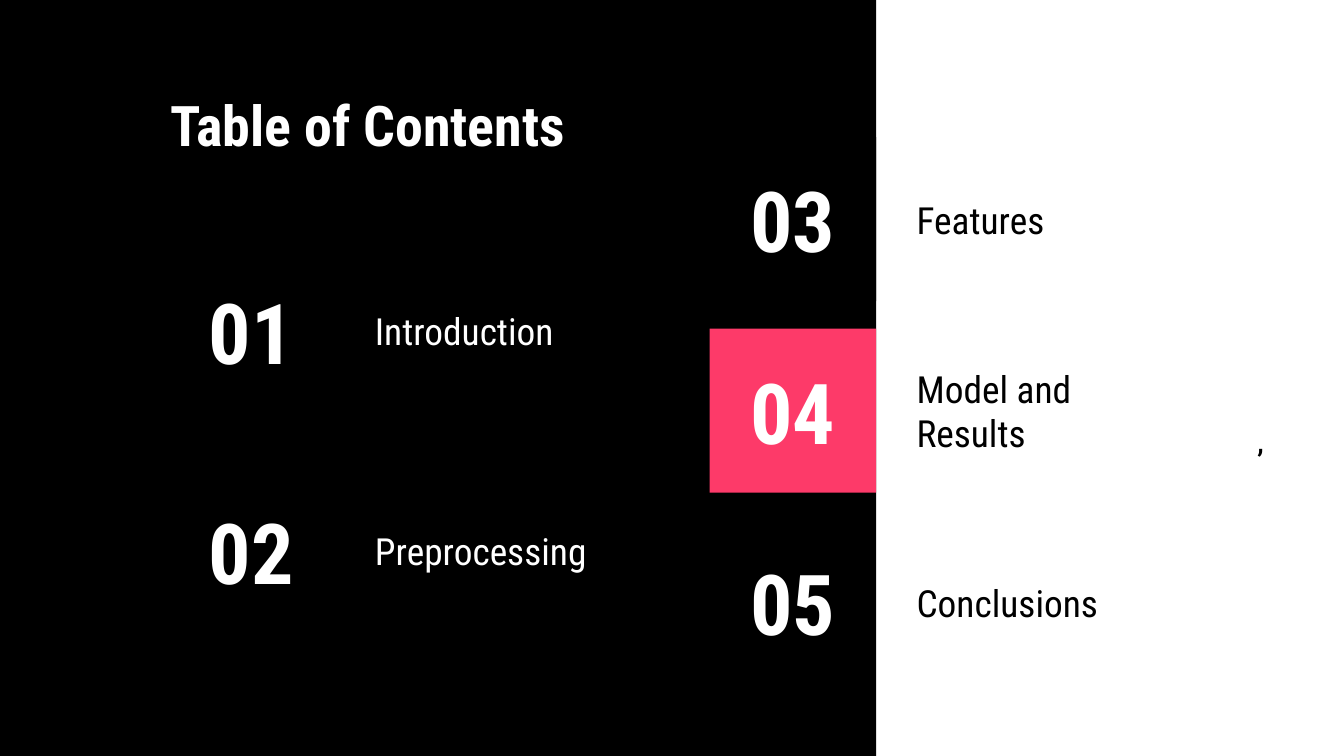
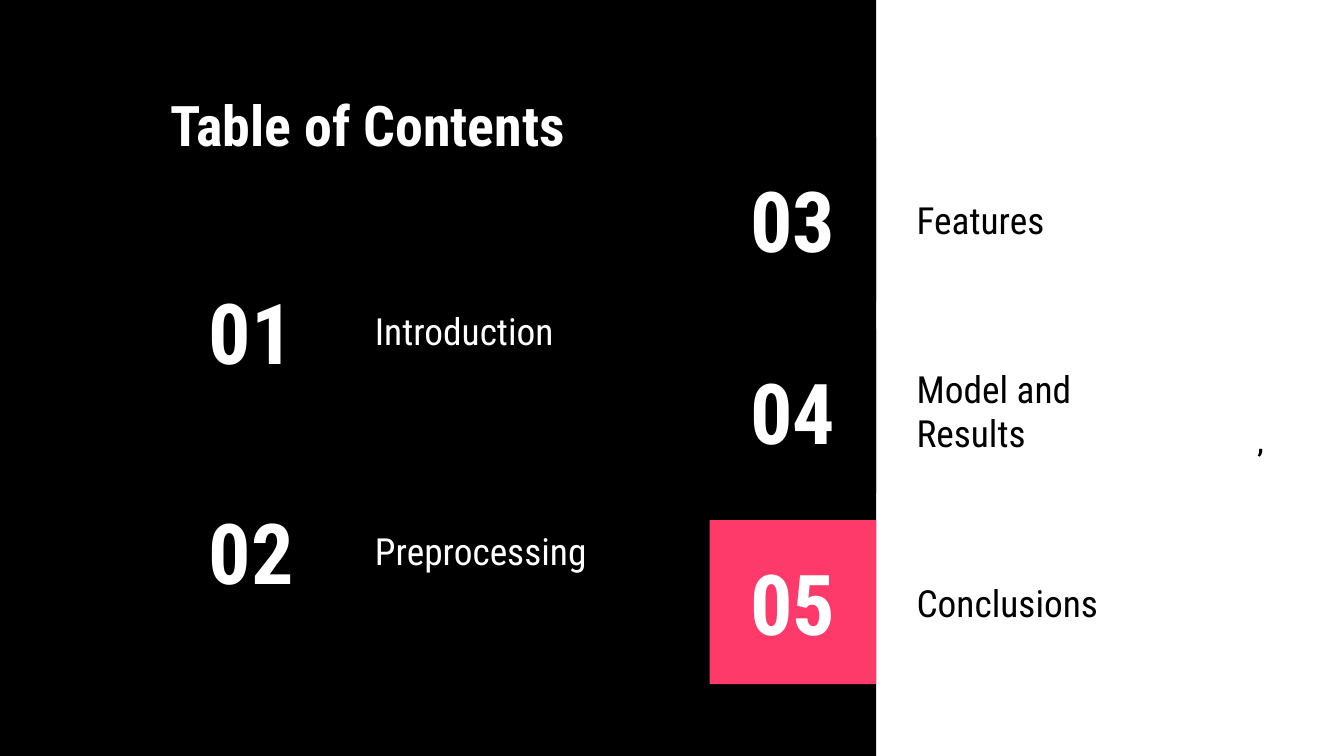
from dataclasses import dataclass
from typing import Optional

from pptx import Presentation
from pptx import util as u
from pptx.dml.color import RGBColor
from pptx.enum import shapes, text

BLACK, WHITE, PINK = "000000", "FFFFFF", "FD3A69"
FONT = "Roboto Condensed"
SLIDE_WIDTH = 10
SLIDE_HEIGHT = SLIDE_WIDTH * 9 / 16
PANEL_WIDTH = 6.52
NUMBER_WIDTH, NUMBER_HEIGHT = 1.24, 1.22
LABEL_HEIGHT = 0.39


@dataclass(frozen=True)
class Style:
    """Look of a piece of text."""
    size: int
    color: str
    bold: bool = False
    align: text.PP_ALIGN = text.PP_ALIGN.LEFT
    anchor: text.MSO_ANCHOR = text.MSO_ANCHOR.MIDDLE
    left_inset: float = 0.1
    inset: float = 0.1


@dataclass(frozen=True)
class Section:
    """One numbered entry of the contents."""
    number: str
    label: str
    label_width: float = 1.86
    idle_fill: Optional[str] = BLACK


@dataclass(frozen=True)
class Column:
    """Sections spread evenly between the first and last top."""
    left: float
    first_top: float
    last_top: float
    label_color: str
    sections: tuple[Section, ...]


TITLE = Style(30, WHITE, True, anchor=text.MSO_ANCHOR.TOP)
NUMBER = Style(45, WHITE, True, text.PP_ALIGN.CENTER)
MARK = Style(14, BLACK, True, text.PP_ALIGN.CENTER, text.MSO_ANCHOR.TOP, inset=0.05)
COLUMNS = (
    Column(1.25, 1.85, 3.49, WHITE, (
        Section("01", "Introduction"),
        Section("02", "Preprocessing", 2.02),
    )),
    Column(5.28, 1.02, 3.87, BLACK, (
        Section("03", "Features"),
        Section("04", "Model and Results"),
        Section("05", "Conclusions", idle_fill=None),
    )),
)


def rgb(color: str) -> RGBColor:
    """Turn a hex string into a colour."""
    return RGBColor.from_string(color)


def box(left: float, top: float, width: float, height: float) -> tuple[u.Length, ...]:
    """Give a position and size in inches."""
    return tuple(u.Inches(value) for value in (left, top, width, height))


def write(shape, words: str, style: Style) -> None:
    """Set the text of a shape in one style."""
    frame = shape.text_frame
    frame.auto_size = text.MSO_AUTO_SIZE.NONE
    frame.word_wrap = True
    frame.vertical_anchor = style.anchor
    frame.margin_left = u.Inches(style.left_inset)
    frame.margin_right = u.Inches(0.1)
    frame.margin_top = frame.margin_bottom = u.Inches(style.inset)
    paragraph = frame.paragraphs[0]
    paragraph.alignment = style.align
    run = paragraph.add_run()
    run.text = words
    run.font.name = FONT
    run.font.size = u.Pt(style.size)
    run.font.bold = style.bold
    run.font.color.rgb = rgb(style.color)


def add_rectangle(slide, place: tuple[u.Length, ...], fill: str):
    """Add a plain rectangle without outline."""
    shape = slide.shapes.add_shape(shapes.MSO_SHAPE.RECTANGLE, *place)
    shape.shadow.inherit = False
    shape.line.fill.background()
    shape.fill.solid()
    shape.fill.fore_color.rgb = rgb(fill)
    return shape


def add_text(slide, place: tuple[u.Length, ...], words: str, style: Style,
             fill: Optional[str] = None) -> None:
    """Add text, on a rectangle if a fill is given."""
    shape = add_rectangle(slide, place, fill) if fill else slide.shapes.add_textbox(*place)
    write(shape, words, style)


def add_column(slide, column: Column, current: str) -> None:
    """Add number boxes and labels, with the current section highlighted."""
    style = Style(20, column.label_color, left_inset=0.3)
    step = (column.last_top - column.first_top) / (len(column.sections) - 1)
    for index, section in enumerate(column.sections):
        top = column.first_top + index * step
        fill = PINK if section.number == current else section.idle_fill
        add_text(slide, box(column.left, top, NUMBER_WIDTH, NUMBER_HEIGHT),
                 section.number, NUMBER, fill)
        label_top = top + (NUMBER_HEIGHT - LABEL_HEIGHT) / 2
        add_text(slide, box(column.left + NUMBER_WIDTH, label_top, section.label_width, LABEL_HEIGHT),
                 section.label, style)


def add_contents_slide(presentation, current: str) -> None:
    """Add the table of contents with one section highlighted."""
    slide = presentation.slides.add_slide(presentation.slide_layouts[5])
    slide.background.fill.solid()
    slide.background.fill.fore_color.rgb = rgb(WHITE)
    title = slide.shapes.title
    panel = add_rectangle(slide, box(0, 0, PANEL_WIDTH, SLIDE_HEIGHT), BLACK)
    title.element.addprevious(panel.element)
    title.left, title.top, title.width, title.height = box(1.17, 0.57, 8.05, 0.63)
    write(title, "Table of Contents", TITLE)
    add_text(slide, box(8.76, 3.12, 1.24, 2.5), ",", MARK)
    for column in COLUMNS:
        add_column(slide, column, current)


def main() -> None:
    """Build and save the presentation."""
    presentation = Presentation()
    presentation.slide_width = u.Inches(SLIDE_WIDTH)
    presentation.slide_height = u.Inches(SLIDE_HEIGHT)
    for current in ("04", "05"):
        add_contents_slide(presentation, current)
    presentation.save("out.pptx")


if __name__ == "__main__":
    main()
